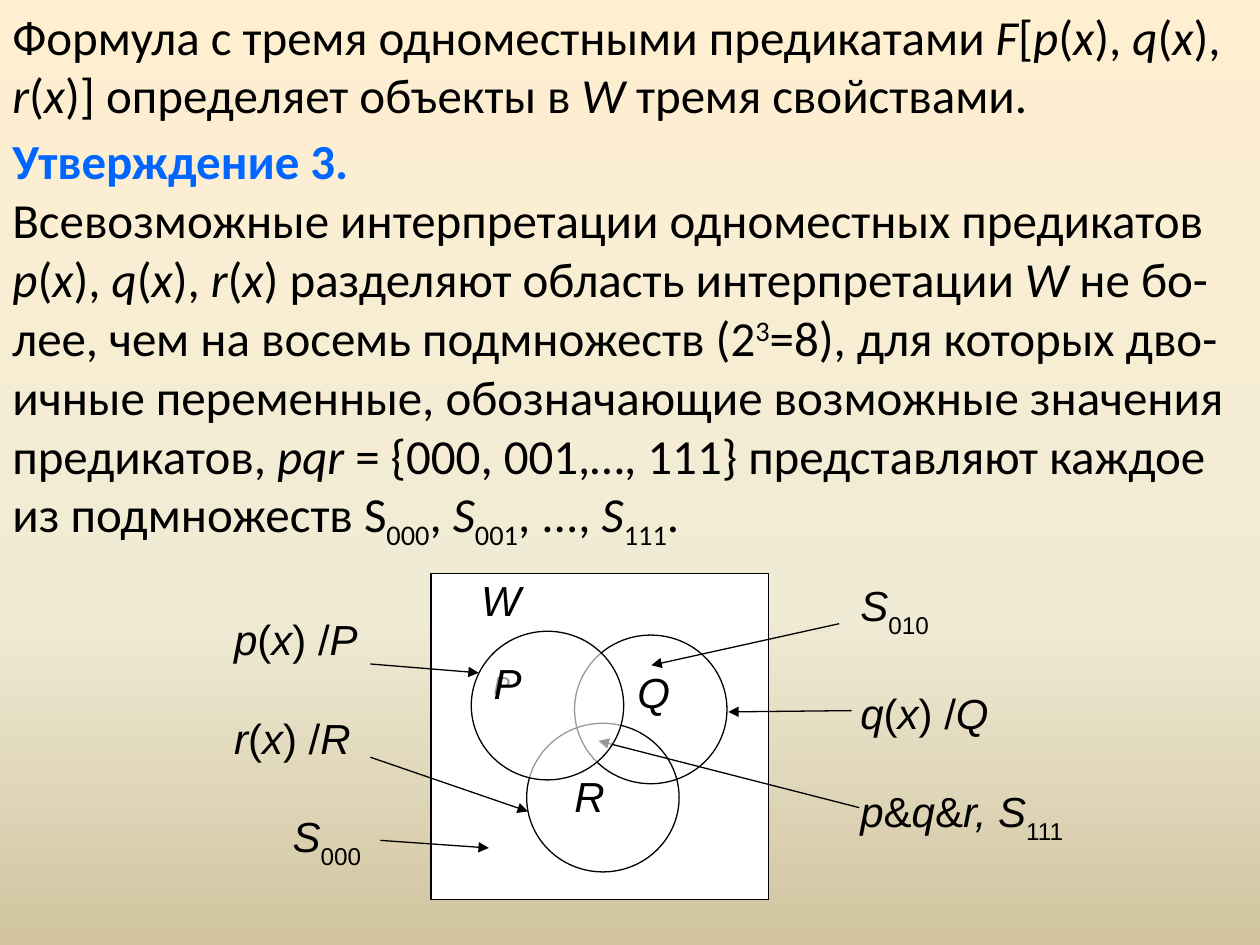
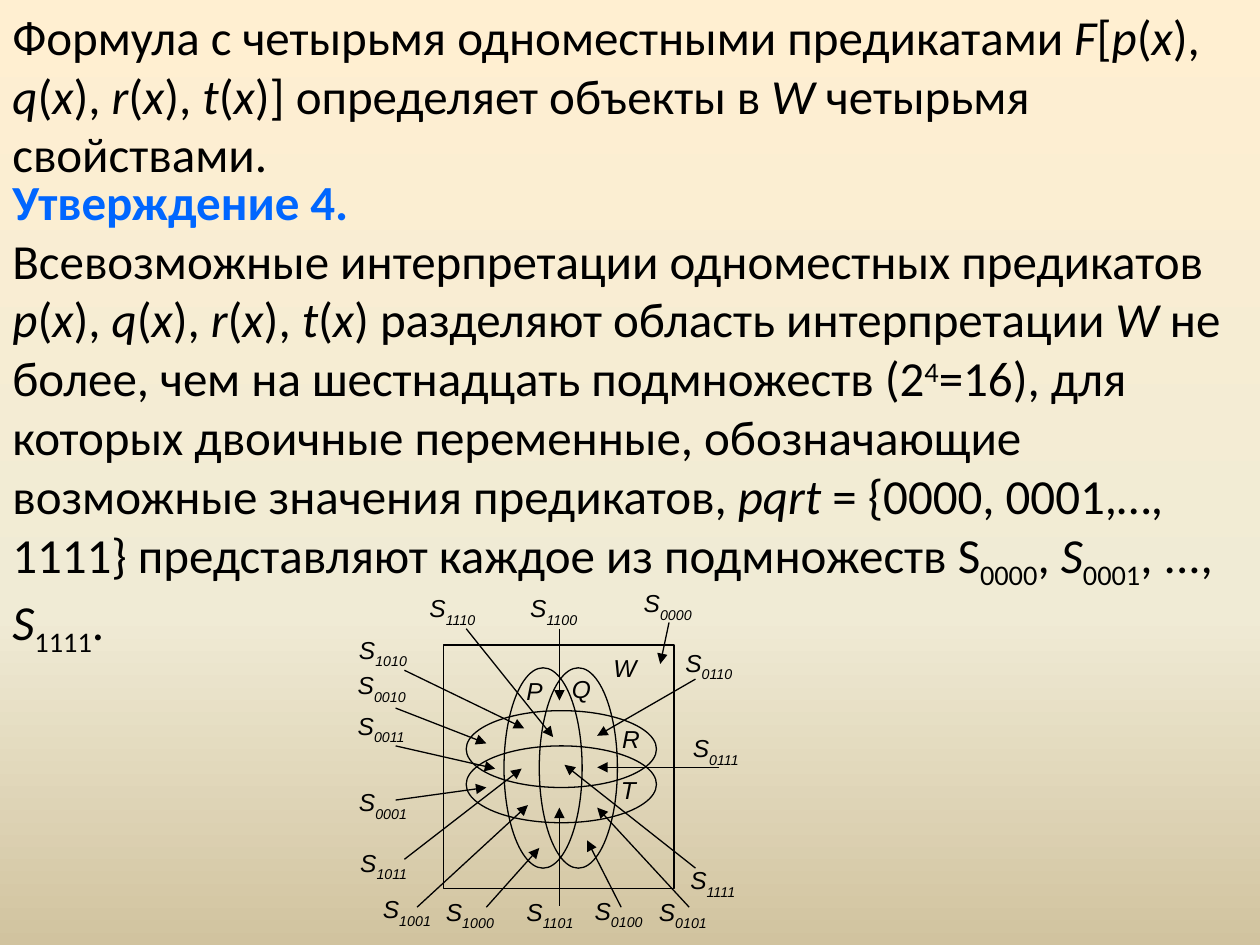
from copy import deepcopy

from lxml import etree
from pptx import Presentation
from pptx import util as u
from pptx.dml.color import RGBColor
from pptx.enum import shapes, text
from pptx.oxml.ns import qn

BLACK, BLUE, WHITE = "000000", "0066FF", "FFFFFF"
SKY = [(0, "FFEFD1"), (0.65, "F0EBD5"), (1, "D1C39F")]
RECT = shapes.MSO_SHAPE.RECTANGLE
OVAL = shapes.MSO_SHAPE.OVAL


def size(inch):
    """Slide length, laid out on a 10 by 7.5 inch field."""
    return u.Cm(inch * 2.54)


def rgb(code):
    return RGBColor.from_string(code)


def preds(names):
    """Marked text for p(x), q(x), ..."""
    return ", ".join(f"*{n}*(*x*)" for n in names)


def pieces(marked):
    """Yield (words, italic, base): * toggles italic, _ subscript, ^ superscript."""
    on, words = set(), ""
    for ch in marked:
        if ch not in "*_^":
            words += ch
            continue
        if words:
            yield words, "*" in on, on - {"*"}
        words = ""
        on ^= {ch}
    if words:
        yield words, "*" in on, on - {"*"}


class Deck:
    body, label = "Calibri", "Arial"
    thin = u.Pt(0.75)

    def __init__(self):
        self.prs = Presentation()
        self.prs.slide_width, self.prs.slide_height = size(10), size(7.5)
        self.slide = None
        master = self.prs.slide_master
        fill = master.background.fill
        fill.gradient()
        fill.gradient_angle = 270
        stops = master.element.xpath(".//p:bg//a:gsLst")[0]
        stops.append(deepcopy(stops[0]))
        for stop, (pos, code) in zip(fill.gradient_stops, SKY):
            stop.position = pos
            stop.color.rgb = rgb(code)

    def page(self):
        self.slide = self.prs.slides.add_slide(self.prs.slide_layouts[6])

    def fill_in(self, para, marked, font, pts, color=BLACK, bold=False, low=-30):
        """Add marked text to a paragraph, run by run."""
        for words, slant, base in pieces(marked):
            run = para.add_run()
            run.text = words
            face = run.font
            face.name, face.size = font, u.Pt(pts)
            face.bold, face.italic = bold, slant
            face.color.rgb = rgb(color)
            if base:
                shift = low if "_" in base else 30
                face._element.set("baseline", str(shift * 1000))

    def box(self, x, y, w, h):
        frame = self.slide.shapes.add_textbox(*map(size, (x, y, w, h))).text_frame
        frame.word_wrap = True
        return frame

    def prose(self, y, h, marked, head=None):
        """Full-width body text, with a blue heading if one is given."""
        frame = self.box(0, y, 10, h)
        frame.auto_size = text.MSO_AUTO_SIZE.SHAPE_TO_FIT_TEXT
        para = frame.paragraphs[0]
        if head:
            self.fill_in(para, head, self.body, 28, BLUE, True)
            para = frame.add_paragraph()
        self.fill_in(para, marked, self.body, 28, low=-25)

    def tag(self, x, y, marked, pts=24, w=0.84, h=0.74):
        self.fill_in(self.box(x, y, w, h).paragraphs[0], marked, self.label, pts)

    def stack(self, x, y, w, h, rows, inset=0):
        """Labels one line apart; the last one is moved in by inset points."""
        frame = self.box(x, y, w, h)
        for i, marked in enumerate(rows):
            para = frame.add_paragraph() if i else frame.paragraphs[0]
            if i:
                para.space_before = u.Pt(27.6)
            self.fill_in(para, marked, self.label, 24)
        if inset:
            para._p.get_or_add_pPr().set("marL", str(u.Pt(inset)))

    def form(self, kind, x, y, w, h, fill=None, alpha=100):
        item = self.slide.shapes.add_shape(kind, *map(size, (x, y, w, h)))
        item.shadow.inherit = False
        item.line.color.rgb = rgb(BLACK)
        item.line.width = self.thin
        if not fill:
            item.fill.background()
            return
        item.fill.solid()
        item.fill.fore_color.rgb = rgb(fill)
        if alpha < 100:
            color = item._element.spPr.find(qn("a:solidFill"))[0]
            etree.SubElement(color, qn("a:alpha")).set("val", str(alpha * 1000))

    def arrow(self, *ends):
        link = self.slide.shapes.add_connector(
            shapes.MSO_CONNECTOR.STRAIGHT, *map(size, ends))
        link.line.color.rgb = rgb(BLACK)
        link.line.width = self.thin
        props = link._element.spPr
        etree.SubElement(props.find(qn("a:ln")), qn("a:tailEnd")).set("type", "triangle")
        etree.SubElement(props, qn("a:effectLst"))


def three(deck):
    deck.page()
    deck.prose(0, 1.04, f"Формула с тремя одноместными предикатами *F*[{preds('pqr')}]"
               " определяет объекты в *W* тремя свойствами.")
    deck.prose(0.99, 3.4, "Всевозможные интерпретации одноместных предикатов "
               f"{preds('pqr')} разделяют область интерпретации *W* не бо-лее, "
               "чем на восемь подмножеств (2^3^=8), для которых дво-ичные переменные, "
               "обозначающие возможные значения предикатов, *pqr *= {000, 001,…, 111} "
               "представляют каждое из подмножеств S_000_, *S*_001_, ..., *S*_111_.",
               "Утверждение 3.")
    ring = 1.21, 1.18
    deck.form(RECT, 3.42, 4.55, 2.68, 2.59, WHITE)
    deck.form(OVAL, 4.18, 5.74, *ring)
    deck.tag(3.72, 4.51, "*W*")
    deck.tag(3.82, 5.27, "*P*", 14)
    deck.stack(6.73, 4.55, 2.6, 2.44,
               ["*S*_010_", "*q*(*х*) /*Q*", "*p*&*q*&*r, S*_111_"])
    deck.stack(1.76, 4.82, 1.83, 2.32,
               ["*p*(*x*) /*P*", "*r*(*x*) /*R*", "*S*_000_"], 33.4)
    deck.arrow(2.94, 5.27, 3.8, 5.34)
    deck.arrow(6.76, 5.64, 5.78, 5.65)
    deck.form(OVAL, 4.56, 5.04, *ring)
    deck.tag(4.96, 5.24, "*Q*")
    deck.arrow(6.82, 6.41, 4.75, 5.88)
    deck.form(OVAL, 3.74, 5.01, *ring, WHITE, 60)
    deck.tag(4.46, 6.07, "*R*")
    for ends in [(2.94, 6.01, 4.19, 6.44), (6.66, 4.95, 5.17, 5.28),
                 (3.02, 6.67, 3.88, 6.73)]:
        deck.arrow(*ends)
    deck.tag(3.82, 5.17, "*P*")


# Subset code: label corner, arrow start, arrow end
SETS = {
    "1111": (5.38, 6.82, 5.52, 6.89, 4.48, 6.07),
    "0000": (5.01, 4.62, 5.31, 4.94, 5.24, 5.27),
    "0001": (2.75, 6.2, 3.14, 6.35, 3.86, 6.25),
    "0010": (2.74, 5.27, 3.14, 5.62, 3.86, 5.9),
    "0011": (2.74, 5.59, 3.14, 5.92, 3.93, 6.1),
    "0100": (4.62, 7.06, 4.93, 7.2, 4.66, 6.67),
    "0101": (5.13, 7.07, 5.47, 7.2, 4.74, 6.41),
    "0110": (5.34, 5.09, 5.52, 5.39, 4.74, 5.84),
    "0111": (5.4, 5.77, 5.71, 6.09, 4.74, 6.09),
    "1000": (3.44, 7.07, 3.86, 7.2, 4.28, 6.73),
    "1001": (2.94, 7.05, 3.31, 7.2, 4.19, 6.39),
    "1010": (2.75, 4.99, 3.21, 5.32, 4.16, 5.78),
    "1011": (2.76, 6.68, 3.21, 6.82, 4.14, 6.1),
    "1100": (4.11, 4.66, 4.44, 4.99, 4.44, 5.56),
    "1101": (4.08, 7.07, 4.44, 7.19, 4.44, 6.41),
    "1110": (3.31, 4.66, 3.7, 4.99, 4.39, 5.85),
}


def four(deck):
    deck.page()
    deck.prose(0, 1.51, f"Формула с четырьмя одноместными предикатами *F*[{preds('pqrt')}]"
               " определяет объекты в *W *четырьмя свойствами.")
    deck.prose(1.31, 3.87, "Всевозможные интерпретации одноместных предикатов "
               f"{preds('pqrt')} разделяют область интерпретации *W* не более, "
               "чем на шестнадцать подмножеств (2^4^=16), для которых двоичные переменные, "
               "обозначающие возможные значения предикатов, *pqrt *= {0000, 0001,…, 1111} "
               "представляют каждое из подмножеств S_0000_, *S*_0001_, ..., *S*_1111_.",
               "Утверждение 4.")
    deck.form(RECT, 3.52, 5.12, 1.83, 1.93)
    for x in (4, 4.28):
        deck.form(OVAL, x, 5.3, 0.62, 1.59)
    for y in (5.64, 5.92):
        deck.form(OVAL, 3.7, y, 1.51, 0.61)
    for name, x, y in [("P", 4.08, 5.32), ("Q", 4.44, 5.3), ("R", 4.84, 5.7),
                       ("T", 4.83, 6.1), ("W", 4.77, 5.13)]:
        deck.tag(x, y, f"*{name}*", 14, 0.4, 0.43)
    for code, (x, y, *ends) in SETS.items():
        deck.tag(x, y, f"*S_{code}_*", 14, 0.69, 0.43)
        deck.arrow(*ends)


def main():
    deck = Deck()
    three(deck)
    four(deck)
    deck.prs.save("out.pptx")


if __name__ == "__main__":
    main()
